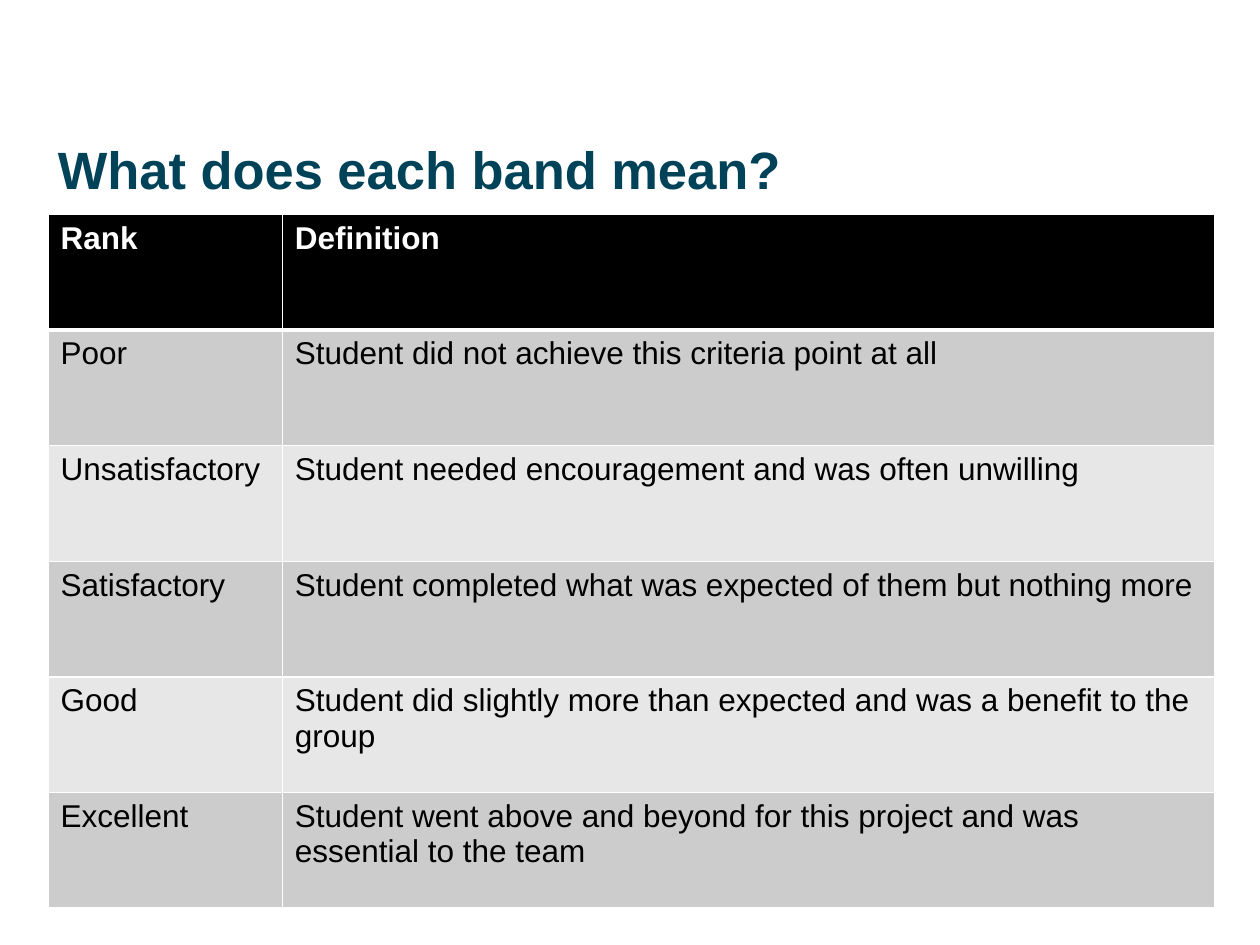
from dataclasses import dataclass

from lxml.etree import SubElement
from pptx import Presentation
from pptx.dml.color import RGBColor
from pptx.enum.text import MSO_ANCHOR
from pptx.oxml.ns import qn
from pptx.util import Pt


@dataclass(frozen=True)
class Theme:
    """Colours, font and type sizes of the slide."""
    font: str = "Arial"
    heading: str = "004359"
    header_fill: str = "000000"
    header_text: str = "FFFFFF"
    body_text: str = "000000"
    bands: tuple = ("CCCCCC", "E7E7E7")
    border: str = "FFFFFF"
    heading_size: float = 30
    table_size: float = 18


def write(frame, text, *, font, size, color, bold=False):
    """Put formatted text into a text frame."""
    frame.word_wrap = True
    run = frame.paragraphs[0].add_run()
    run.text = text
    run.font.name = font
    run.font.size = Pt(size)
    run.font.bold = bold
    run.font.color.rgb = RGBColor.from_string(color)


def set_borders(cell, color, widths):
    """Draw cell borders; widths maps sides L, R, T, B to points."""
    properties = cell._tc.get_or_add_tcPr()
    for side, width in widths.items():
        line = SubElement(properties, qn(f"a:ln{side}"), w=str(Pt(width)))
        fill = SubElement(line, qn("a:solidFill"))
        SubElement(fill, qn("a:srgbClr"), val=color)


class SlideBuilder:
    """Adds styled elements to one slide."""

    def __init__(self, slide, theme):
        """Keep the slide and its theme."""
        self.slide = slide
        self.theme = theme

    def heading(self, text, left, top, width, height):
        """Add the slide heading."""
        frame = self.slide.shapes.add_textbox(
            Pt(left), Pt(top), Pt(width), Pt(height)).text_frame
        frame.vertical_anchor = MSO_ANCHOR.TOP
        frame.margin_top = Pt(7)
        write(frame, text, font=self.theme.font, size=self.theme.heading_size,
              color=self.theme.heading, bold=True)

    def table(self, rows, left, top, column_widths, row_height):
        """Add a table with a header row and banded body rows."""
        theme = self.theme
        table = self.slide.shapes.add_table(
            len(rows), len(column_widths), Pt(left), Pt(top),
            Pt(sum(column_widths)), Pt(row_height * len(rows))).table
        for column, width in zip(table.columns, column_widths):
            column.width = Pt(width)
        for r, texts in enumerate(rows):
            table.rows[r].height = Pt(row_height)
            header = r == 0
            fill = theme.header_fill if header else theme.bands[(r - 1) % 2]
            color = theme.header_text if header else theme.body_text
            widths = {"L": 1, "R": 1, "T": 3 if r == 1 else 1,
                      "B": 3 if header else 1}
            for c, text in enumerate(texts):
                cell = table.cell(r, c)
                set_borders(cell, theme.border, widths)
                cell.fill.solid()
                cell.fill.fore_color.rgb = RGBColor.from_string(fill)
                write(cell.text_frame, text, font=theme.font,
                      size=theme.table_size, color=color, bold=header)


BANDS = [
    ("Rank", "Definition"),
    ("Poor", "Student did not achieve this criteria point at all"),
    ("Unsatisfactory", "Student needed encouragement and was often unwilling"),
    ("Satisfactory",
     "Student completed what was expected of them but nothing more"),
    ("Good",
     "Student did slightly more than expected and was a benefit to the group"),
    ("Excellent",
     "Student went above and beyond for this project and was essential to "
     "the team"),
]


def main():
    """Build and save the presentation."""
    presentation = Presentation()
    presentation.slide_width, presentation.slide_height = Pt(720), Pt(540)
    slide = presentation.slides.add_slide(presentation.slide_layouts[6])
    builder = SlideBuilder(slide, Theme())
    builder.heading("What does each band mean?", 26, 71.5, 668, 62.5)
    builder.table(BANDS, left=27.5, top=122.5, column_widths=(133.8, 532.8),
                  row_height=66.1)
    presentation.save("out.pptx")


main()
